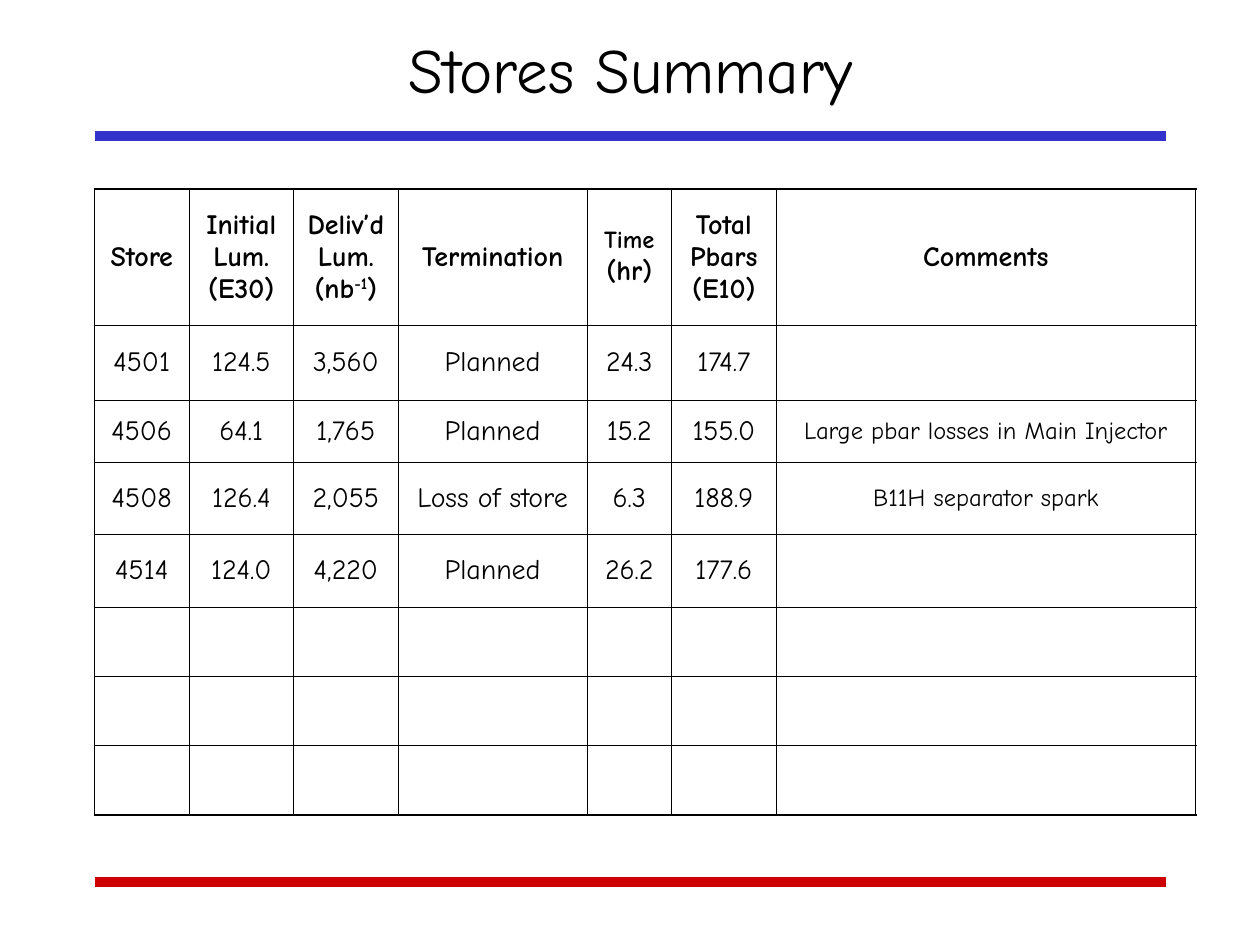
import pptx
import pptx.dml.color
import pptx.enum.shapes
import pptx.enum.text
import pptx.oxml
import pptx.oxml.ns
import pptx.util
from pptx.util import Inches

COLUMNS = [0.75, 0.83, 0.83, 1.5, 0.67, 0.83, 3.33]
ROWS = [1.08, 0.6, 0.49, 0.57, 0.58, 0.55, 0.55, 0.55]

# A cell is a list of paragraphs; a paragraph is a list of (text, format) runs.
HEADERS = [
    [[("Store", {})]],
    [[("Initial", {})], [("Lum.", {})], [("(E30)", {})]],
    [[("Deliv’d", {})], [("Lum. (nb", {}), ("-1", {"baseline": 30000}), (")", {})]],
    [[("Termination", {})]],
    [[("Time", {"size": 14})], [("(hr)", {})]],
    [[("Total", {})], [("Pbars", {})], [("(E10)", {})]],
    [[("Comments", {})]],
]
STORES = [
    ["4501", "124.5", "3,560", "Planned", "24.3", "174.7", ""],
    ["4506", "64.1", "1,765", "Planned", "15.2", "155.0", "Large pbar losses in Main Injector"],
    ["4508", "126.4", "2,055", "Loss of store", "6.3", "188.9", "B11H separator spark"],
    ["4514", "124.0", "4,220", "Planned", "26.2", "177.6", ""],
]


def color(value):
    return pptx.dml.color.RGBColor.from_string(value)


def set_all(target, values):
    for name, value in values.items():
        setattr(target, name, value)


class Deck:
    font = "Comic Neue"
    ink = "000000"
    thin, thick = 0.45, 1.08

    def __init__(self, slide):
        self.s = slide

    def add_text(self, tf, paragraphs, size, bold=False):
        for i, runs in enumerate(paragraphs):
            p = tf.add_paragraph() if i else tf.paragraphs[0]
            p.alignment = pptx.enum.text.PP_ALIGN.CENTER
            for text, extra in runs:
                r = p.add_run()
                r.text = text
                set_all(r.font, {"name": self.font, "bold": bold,
                                 "size": pptx.util.Pt(extra.get("size", size))})
                r.font.color.rgb = color(self.ink)
                if "baseline" in extra:
                    r._r.get_or_add_rPr().set("baseline", str(extra["baseline"]))

    def rule(self, y, line_color):
        sp = self.s.shapes.add_connector(
            pptx.enum.shapes.MSO_CONNECTOR.STRAIGHT,
            Inches(0.75), Inches(y), Inches(9.25), Inches(y))
        sp.line.width = pptx.util.Pt(6)
        sp.line.color.rgb = color(line_color)
        sp._element.spPr.append(pptx.oxml.parse_xml(
            f'<a:effectLst {pptx.oxml.ns.nsdecls("a")}/>'))

    def title(self, text):
        sp = self.s.shapes.add_textbox(Inches(1.17), Inches(0.17), Inches(7.67), Inches(0.75))
        set_all(sp.text_frame, {"word_wrap": True,
                                "vertical_anchor": pptx.enum.text.MSO_ANCHOR.MIDDLE})
        self.add_text(sp.text_frame, [[(text, {})]], 36)

    def borders(self, cell, outer):
        """Draw the four cell edges, thick on the sides named in outer."""
        tc_pr = cell._tc.get_or_add_tcPr()
        for i, side in enumerate("LRTB"):
            width = pptx.util.Pt(self.thick if side in outer else self.thin)
            tc_pr.insert(i, pptx.oxml.parse_xml(
                f'<a:ln{side} {pptx.oxml.ns.nsdecls("a")} w="{width}"><a:solidFill>'
                f'<a:srgbClr val="{self.ink}"/></a:solidFill></a:ln{side}>'))

    def table(self, x, y, columns, rows, contents):
        table = self.s.shapes.add_table(
            len(rows), len(columns), Inches(x), Inches(y),
            Inches(sum(columns)), Inches(sum(rows))).table
        set_all(table, {"first_row": False, "horz_banding": False})
        for column, width in zip(table.columns, columns):
            column.width = Inches(width)
        for row, height in zip(table.rows, rows):
            row.height = Inches(height)
        margins = {f"margin_{side}": Inches(0.05) for side in ("left", "right", "top", "bottom")}
        last_row, last_column = len(rows) - 1, len(columns) - 1
        for i, row in enumerate(table.rows):
            for j, cell in enumerate(row.cells):
                set_all(cell, {**margins, "vertical_anchor": pptx.enum.text.MSO_ANCHOR.MIDDLE})
                cell.fill.background()
                edges = {"L": j == 0, "R": j == last_column, "T": i == 0, "B": i == last_row}
                self.borders(cell, [side for side, outer in edges.items() if outer])
                if i < len(contents) and contents[i][j]:
                    size = 14 if i and j == last_column else 16
                    self.add_text(cell.text_frame, contents[i][j], size, bold=i == 0)


def main():
    prs = pptx.Presentation()
    set_all(prs, {"slide_width": Inches(10), "slide_height": Inches(7.5)})
    deck = Deck(prs.slides.add_slide(prs.slide_layouts[6]))
    deck.rule(1.08, "3333CC")
    deck.rule(7, "CC0000")
    deck.title("Stores Summary")
    stores = [[[[(text, {})]] if text else [] for text in store] for store in STORES]
    deck.table(0.75, 1.5, COLUMNS, ROWS, [HEADERS] + stores)
    prs.save("out.pptx")


if __name__ == "__main__":
    main()
